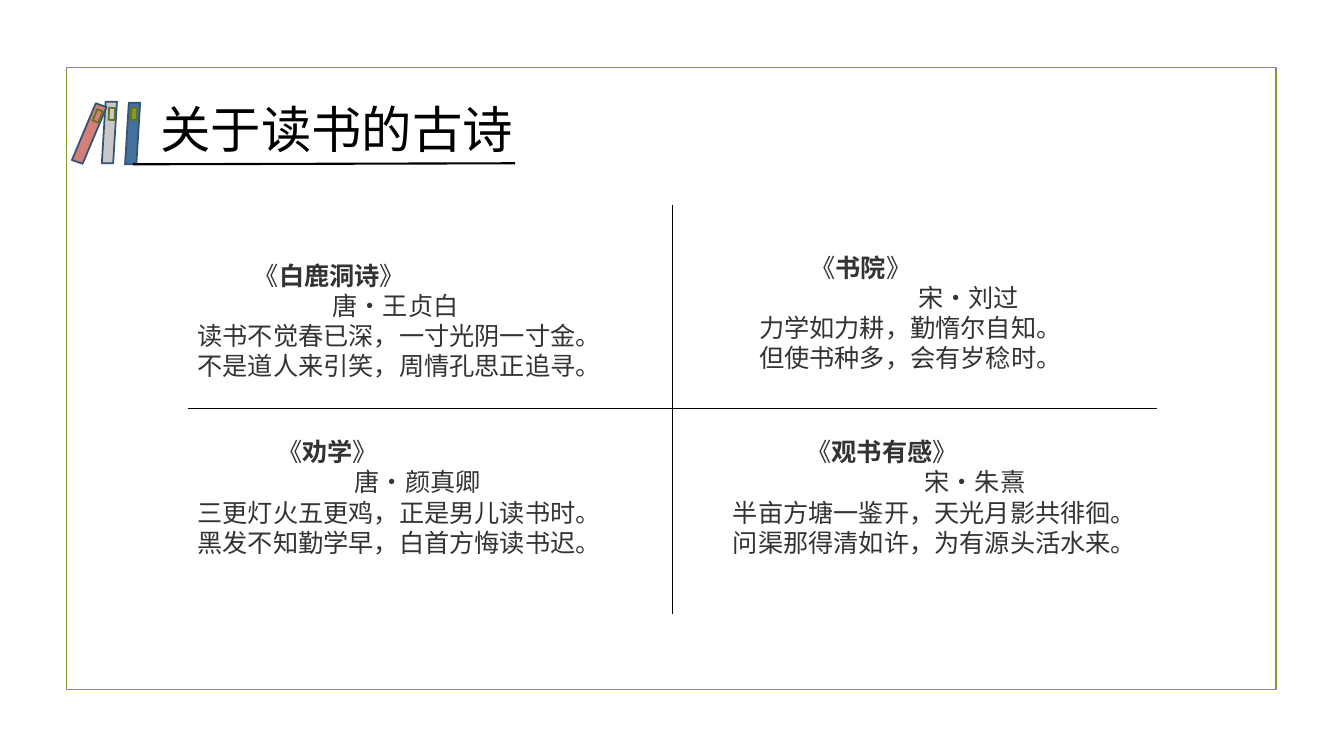
from dataclasses import dataclass

from lxml.etree import SubElement
from pptx import Presentation
from pptx.dml.color import RGBColor
from pptx.enum.shapes import MSO_CONNECTOR, MSO_SHAPE
from pptx.enum.text import MSO_ANCHOR, MSO_AUTO_SIZE, PP_ALIGN
from pptx.oxml.ns import qn
from pptx.util import Inches, Pt

COLORS = {
    "frame": "83992A", "olive": "61711F", "navy": "325374", "blue": "44709D",
    "gray": "C8C8C8", "red": "D47F77", "ink": "333333", "black": "000000",
}
SANS = "Noto Sans CJK SC"
SERIF = "Times New Roman"


@dataclass
class Book:
    left: float
    top: float
    turn: float
    fill: str
    tag_left: float
    tag_top: float
    tag_turn: float
    tag_fill: str


@dataclass
class Line:
    start: tuple[float, float]
    end: tuple[float, float]
    width: float


@dataclass
class Poem:
    left: float
    top: float
    width: float
    title: str
    title_indent: float
    author: str
    author_indent: float
    verses: tuple[str, str]


BOOKS = [
    Book(1.24, 1.02, 0, "blue", 1.3, 1.07, 2.7, "frame"),
    Book(1.01, 1.01, 0, "gray", 1.08, 1.07, 2.6, "gray"),
    Book(0.81, 1.02, 19.3, "red", 0.94, 1.09, 21.9, "red"),
]
LINES = [
    Line((1.32, 1.63), (5.11, 1.62), 1.5),
    Line((1.86, 4.05), (11.48, 4.05), 0.75),
    Line((6.67, 2.03), (6.67, 6.09), 0.75),
]
POEMS = [
    Poem(1.36, 2.51, 4.75, "白鹿洞诗", 1.06, "唐·王贞白", 1.84,
         ("读书不觉春已深，一寸光阴一寸金。", "不是道人来引笑，周情孔思正追寻。")),
    Poem(6.93, 2.43, 3.74, "书院", 1.01, "宋·刘过", 2.08,
         ("力学如力耕，勤惰尔自知。", "但使书种多，会有岁稔时。")),
    Poem(1.36, 4.26, 4.75, "劝学", 1.29, "唐·颜真卿", 2.06,
         ("三更灯火五更鸡，正是男儿读书时。", "黑发不知勤学早，白首方悔读书迟。")),
    Poem(6.67, 4.26, 4.75, "观书有感", 1.23, "宋·朱熹", 2.4,
         ("半亩方塘一鉴开，天光月影共徘徊。", "问渠那得清如许，为有源头活水来。")),
]


def color(name: str) -> RGBColor:
    return RGBColor.from_string(COLORS[name])


def add_block(slide, kind, box, line: str, fill: str = "", turn: float = 0) -> None:
    block = slide.shapes.add_shape(kind, *map(Inches, box))
    block.shadow.inherit = False
    block.rotation = turn
    block.line.color.rgb = color(line)
    block.line.width = Pt(1.25)
    if fill:
        block.fill.solid()
        block.fill.fore_color.rgb = color(fill)
    else:
        block.fill.background()


def add_book(slide, book: Book) -> None:
    add_block(slide, MSO_SHAPE.PARALLELOGRAM, (book.left, book.top, 0.15, 0.61),
              "navy", book.fill, book.turn)
    add_block(slide, MSO_SHAPE.RECTANGLE, (book.tag_left, book.tag_top, 0.06, 0.12),
              "olive", book.tag_fill, book.tag_turn)


def add_line(slide, line: Line) -> None:
    rule = slide.shapes.add_connector(
        MSO_CONNECTOR.STRAIGHT, *map(Inches, line.start + line.end))
    rule.line.color.rgb = color("black")
    rule.line.width = Pt(line.width)
    SubElement(rule._element.spPr, qn("a:effectLst"))


def set_font(para, font: str, size: float, ink: str) -> None:
    para.font.name = font
    para.font.size = Pt(size)
    para.font.color.rgb = color(ink)
    for run in para.runs:
        run.font.name = font
        SubElement(run.font._element, qn("a:ea")).set("typeface", SANS)


def add_poem(slide, poem: Poem) -> None:
    box = slide.shapes.add_textbox(
        *map(Inches, (poem.left, poem.top, poem.width, 1.62)))
    frame = box.text_frame
    frame.word_wrap = True
    frame.margin_top = Inches(0.07)
    frame.margin_right = 0
    head = frame.paragraphs[0]
    for text, bold in (("《", False), (poem.title, True), ("》", False)):
        run = head.add_run()
        run.text = text
        run.font.bold = bold
    author = frame.add_paragraph()
    author.text = poem.author
    verse = frame.add_paragraph()
    verse.text = "\v".join(poem.verses)
    indents = (poem.title_indent, poem.author_indent, 0.5)
    for para, indent in zip(frame.paragraphs, indents):
        para.alignment = PP_ALIGN.LEFT
        para.line_spacing = Pt(21.6)
        para._p.get_or_add_pPr().set("marL", str(Inches(indent)))
        set_font(para, SANS, 18, "ink")


def set_title(slide, text: str) -> None:
    title = slide.shapes.title
    title.left, title.top, title.width, title.height = map(
        Inches, (1.47, 0.92, 3.74, 0.71))
    frame = title.text_frame
    frame.text = text
    frame.word_wrap = False
    frame.auto_size = MSO_AUTO_SIZE.NONE
    frame.vertical_anchor = MSO_ANCHOR.MIDDLE
    para = frame.paragraphs[0]
    para.alignment = PP_ALIGN.CENTER
    set_font(para, SERIF, 36, "black")


def main() -> None:
    deck = Presentation()
    deck.slide_width = Inches(13.33)
    deck.slide_height = Inches(7.5)
    slide = deck.slides.add_slide(deck.slide_layouts[5])
    set_title(slide, "关于读书的古诗")
    add_block(slide, MSO_SHAPE.RECTANGLE, (0.66, 0.67, 12, 6.17), "frame")
    for book in BOOKS:
        add_book(slide, book)
    for line in LINES:
        add_line(slide, line)
    for poem in POEMS:
        add_poem(slide, poem)
    deck.save("out.pptx")


if __name__ == "__main__":
    main()
